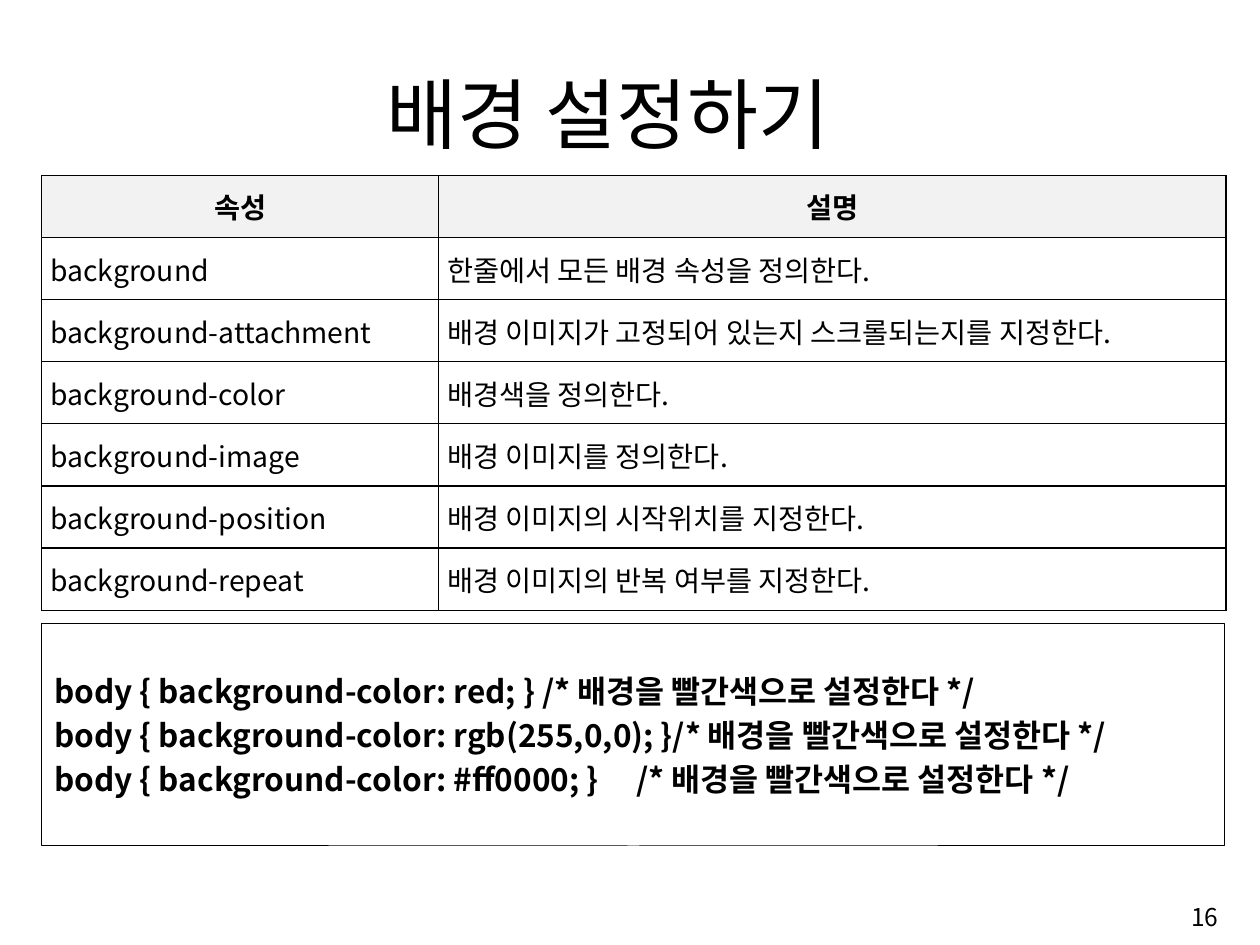
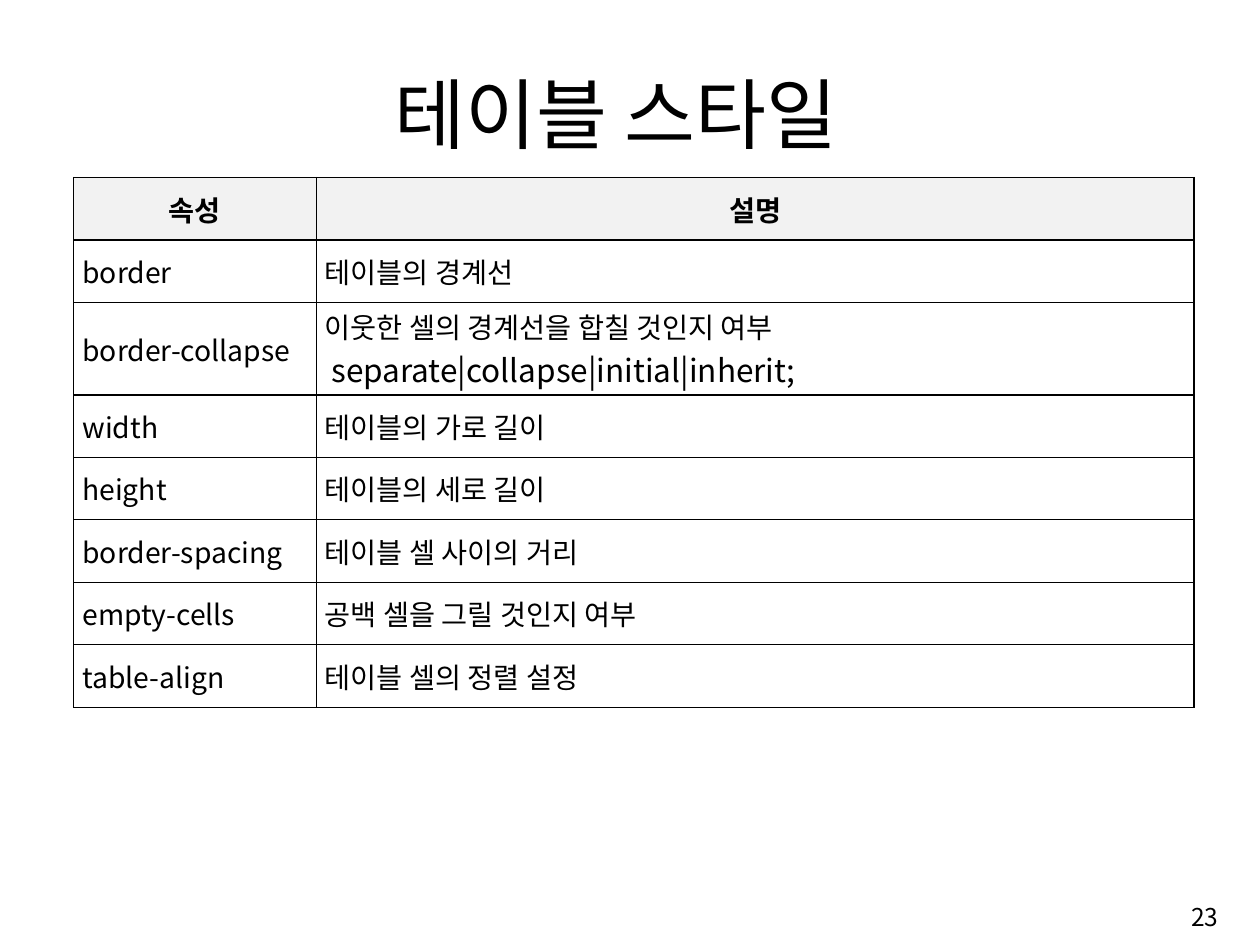
from lxml.etree import SubElement
from pptx import Presentation
from pptx.dml.color import RGBColor
from pptx.enum.shapes import MSO_SHAPE
from pptx.enum.text import MSO_ANCHOR, PP_ALIGN
from pptx.oxml.ns import qn
from pptx.util import Inches, Pt

FONT = "Noto Sans CJK KR"
INK, HEADER_FILL = "000000", "F2F2F2"
TITLE_SIZE, TABLE_SIZE, CODE_SIZE, NUMBER_SIZE = 57.2, 21, 23.4, 18.2
TITLE_BOX = (1.05, 0.61, 10.61, 1.08)
NUMBER_BOX = (9.98, 9.15, 2.68, 0.6)
EXTRA_LINE_HEIGHT = 0.31
HEADER = ("속성", ["설명"])

BACKGROUND_ROWS = [
    ("background", ["한줄에서 모든 배경 속성을 정의한다. "]),
    ("background-attachment", ["배경 이미지가 고정되어 있는지 스크롤되는지를 지정한다. "]),
    ("background-color", ["배경색을 정의한다. "]),
    ("background-image", ["배경 이미지를 정의한다. "]),
    ("background-position", ["배경 이미지의 시작위치를 지정한다. "]),
    ("background-repeat", ["배경 이미지의 반복 여부를 지정한다. "]),
]
BACKGROUND_CODE = [
    "body { background-color: red; } /* 배경을 빨간색으로 설정한다 */",
    "body { background-color: rgb(255,0,0); }/* 배경을 빨간색으로 설정한다 */",
    "body { background-color: #ff0000; }\t/* 배경을 빨간색으로 설정한다 */",
]
TABLE_STYLE_ROWS = [
    ("border ", ["테이블의 경계선"]),
    ("border-collapse ", [
        "이웃한 셀의 경계선을 합칠 것인지 여부",
        [(" ", TABLE_SIZE), ("separate|collapse|initial|inherit;", CODE_SIZE)],
    ]),
    ("width", ["테이블의 가로 길이"]),
    ("height", ["테이블의 세로 길이"]),
    ("border-spacing", ["테이블 셀 사이의 거리"]),
    ("empty-cells", ["공백 셀을 그릴 것인지 여부"]),
    ("table-align ", ["테이블 셀의 정렬 설정"]),
]


def color(hex_code):
    """Turn a hex string into a colour."""
    return RGBColor.from_string(hex_code)


def inches(box):
    """Turn a box in inches into lengths."""
    return [Inches(length) for length in box]


def write(frame, lines, size, align, bold=False, space_before=0):
    """Fill a text frame; a line is a string or a list of (text, size) runs."""
    for index, line in enumerate(lines):
        paragraph = frame.add_paragraph() if index else frame.paragraphs[0]
        paragraph.alignment = align
        paragraph.space_before = Pt(space_before)
        for text, run_size in [(line, size)] if isinstance(line, str) else line:
            run = paragraph.add_run()
            run.text = text
            run.font.size = Pt(run_size)
            run.font.bold = bold
            run.font.name = FONT
            run.font.color.rgb = color(INK)
            SubElement(run.font._element, qn("a:ea"), typeface=FONT)


def set_margins(target, horizontal, vertical):
    """Set the inner margins of a text frame or a table cell."""
    target.margin_left = target.margin_right = Inches(horizontal)
    target.margin_top = target.margin_bottom = Inches(vertical)


def add_label(slide, box, text, size, align, anchor):
    """Place one line of text in a box."""
    frame = slide.shapes.add_textbox(*inches(box)).text_frame
    frame.word_wrap = True
    frame.vertical_anchor = anchor
    set_margins(frame, 0.1, 0.05)
    write(frame, [text], size, align)


def add_borders(cell):
    """Draw a thin line on each side of a cell."""
    properties = cell._tc.get_or_add_tcPr()
    for position, side in enumerate(("lnL", "lnR", "lnT", "lnB")):
        line = SubElement(properties, qn(f"a:{side}"), w=str(Pt(1)))
        fill = SubElement(line, qn("a:solidFill"))
        SubElement(fill, qn("a:srgbClr"), val=INK)
        properties.insert(position, line)


def add_property_table(slide, box, property_width, entries):
    """Place a table in a box; rows with several lines grow beyond an equal share."""
    rows = [HEADER, *entries]
    table = slide.shapes.add_table(len(rows), 2, *inches(box)).table
    table.first_row = table.horz_banding = False
    table.columns[0].width = Inches(property_width)
    table.columns[1].width = Inches(box[2] - property_width)
    for row, (name, description) in enumerate(rows):
        is_header = row == 0
        align = PP_ALIGN.CENTER if is_header else PP_ALIGN.JUSTIFY
        table.rows[row].height += Inches(EXTRA_LINE_HEIGHT * (len(description) - 1))
        for column, lines in enumerate(([name], description)):
            cell = table.cell(row, column)
            cell.vertical_anchor = MSO_ANCHOR.MIDDLE
            set_margins(cell, 0.09, 0.03)
            if is_header:
                cell.fill.solid()
                cell.fill.fore_color.rgb = color(HEADER_FILL)
            else:
                cell.fill.background()
            add_borders(cell)
            write(cell.text_frame, lines, TABLE_SIZE, align, bold=is_header)


def add_code(slide, box, lines):
    """Place an outlined code sample in a box."""
    panel = slide.shapes.add_shape(MSO_SHAPE.RECTANGLE, *inches(box))
    panel.shadow.inherit = False
    panel.fill.background()
    panel.line.color.rgb = color(INK)
    panel.line.width = Pt(0.75)
    frame = panel.text_frame
    frame.word_wrap = True
    frame.vertical_anchor = MSO_ANCHOR.MIDDLE
    set_margins(frame, 0.13, 0.06)
    write(frame, lines, CODE_SIZE, PP_ALIGN.LEFT, bold=True, space_before=CODE_SIZE * 0.2)


def add_page(deck, title, number):
    """Add a slide with its title and page number."""
    slide = deck.slides.add_slide(deck.slide_layouts[6])
    add_label(slide, TITLE_BOX, title, TITLE_SIZE, PP_ALIGN.CENTER, MSO_ANCHOR.BOTTOM)
    add_label(slide, NUMBER_BOX, number, NUMBER_SIZE, PP_ALIGN.RIGHT, MSO_ANCHOR.MIDDLE)
    return slide


def main():
    """Build and save the two slides."""
    deck = Presentation()
    deck.slide_width, deck.slide_height = inches((12.99, 9.74))

    background = add_page(deck, "배경 설정하기 ", "16")
    add_property_table(background, (0.43, 1.81, 12.21, 4.48), 4.09, BACKGROUND_ROWS)
    add_code(background, (0.43, 6.43, 12.2, 2.29), BACKGROUND_CODE)

    table_style = add_page(deck, "테이블 스타일", "23")
    add_property_table(table_style, (0.76, 1.83, 11.55, 5.15), 2.5, TABLE_STYLE_ROWS)

    deck.save("out.pptx")


if __name__ == "__main__":
    main()
